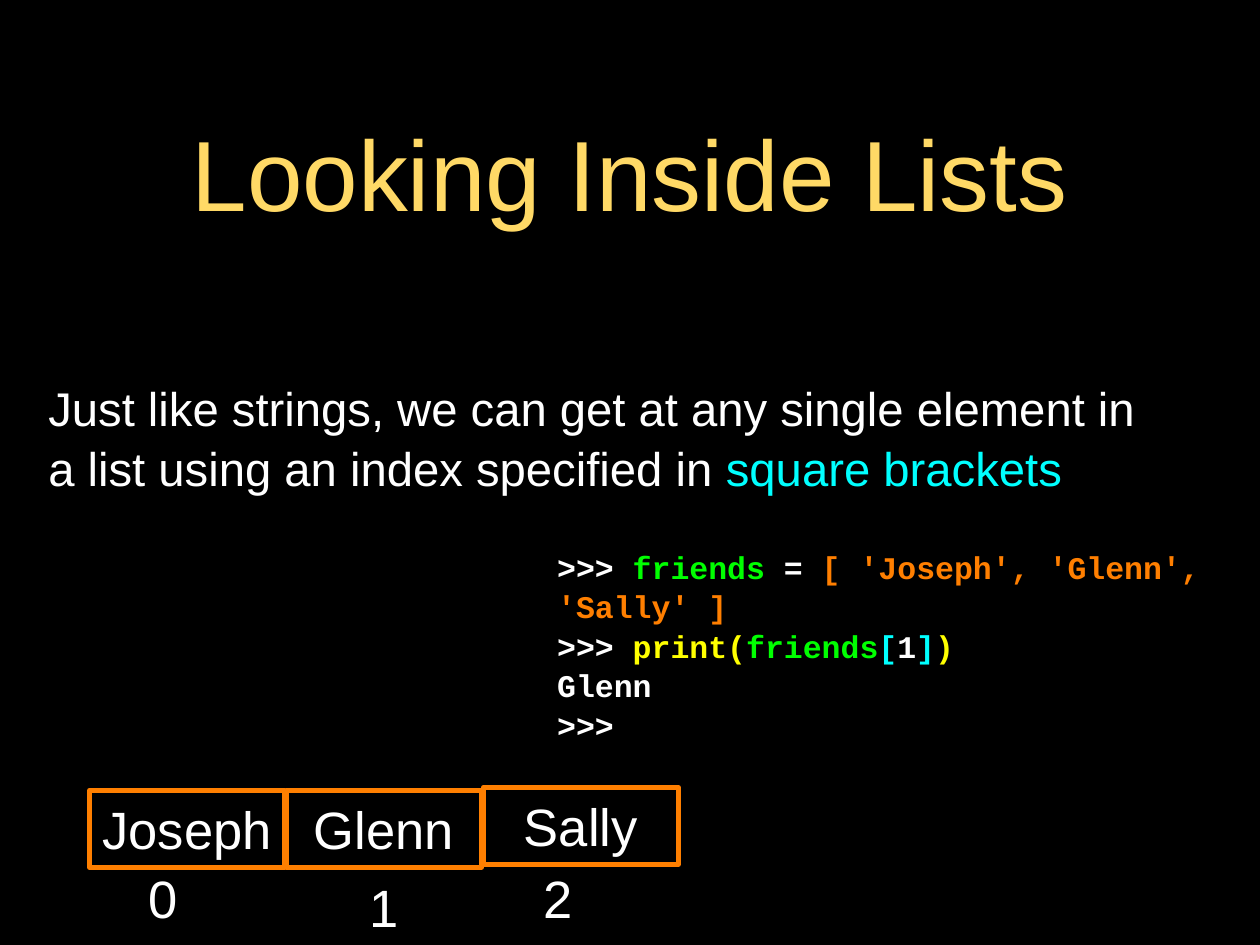
from pptx import Presentation
from pptx.dml.color import RGBColor
from pptx.enum.shapes import MSO_SHAPE
from pptx.enum.text import MSO_ANCHOR, MSO_AUTO_SIZE, PP_ALIGN
from pptx.oxml.ns import qn
from pptx.util import Emu, Pt

PX = 9525  # EMU per pixel at 96 pixels to the inch

COLORS = {
    "black": "000000",
    "white": "FFFFFF",
    "gold": "FFD966",
    "cyan": "00FFFF",
    "green": "00FF00",
    "orange": "FF7F00",
    "yellow": "FFFF00",
}

BODY = [[
    ("Just like strings, we can get at any single element in a list "
     "using an index specified in", "white"),
    (" square brackets", "cyan"),
]]
CODE = [
    [(">>> ", "white"), ("friends", "green"), (" = ", "white"),
     ("[ 'Joseph', 'Glenn', 'Sally' ]", "orange")],
    [(">>> ", "white"), ("print(", "yellow"), ("friends", "green"),
     ("[", "cyan"), ("1", "white"), ("]", "cyan"), (")", "yellow")],
    [("Glenn", "white")],
    [(">>>", "white")],
]
FRIENDS_LEFT, FRIENDS_PITCH = 91, 200
# name, top of its cell, left and top of its index
FRIENDS = [
    ("Joseph", 803, 127, 873),
    ("Glenn", 803, 351, 882),
    ("Sally", 800, 528, 873),
]


def color(name):
    return RGBColor.from_string(COLORS[name])


def place(box, left, top, width, height):
    box.left, box.top = Emu(left * PX), Emu(top * PX)
    box.width, box.height = Emu(width * PX), Emu(height * PX)


def write(box, lines, size, font="Arial", bold=False,
          align=PP_ALIGN.LEFT, spacing=1.0, inset=0):
    """Fill a box with lines, each a list of (text, colour name) spans."""
    frame = box.text_frame
    frame.word_wrap = True
    frame.auto_size = MSO_AUTO_SIZE.NONE
    frame.vertical_anchor = MSO_ANCHOR.MIDDLE
    frame.margin_left = frame.margin_right = Emu(inset * PX)
    frame.margin_top = frame.margin_bottom = Emu(inset * PX)
    frame.text = "\n".join("" for line in lines)
    for paragraph, line in zip(frame.paragraphs, lines):
        paragraph.alignment = align
        paragraph.line_spacing = spacing
        paragraph.space_before = Pt(0)
        for text, color_name in line:
            span = paragraph.add_run()
            span.text = text
            span.font.name = font
            span.font.size = Pt(size)
            span.font.bold = bold
            span.font.color.rgb = color(color_name)


def remove_bullets(box):
    for paragraph in box.text_frame.paragraphs:
        properties = paragraph._p.get_or_add_pPr()
        properties.set("marL", "0")
        properties.set("indent", "0")
        properties.append(properties.makeelement(qn("a:buNone"), {}))


def add_text(page, left, top, width, height, lines, size, **style):
    box = page.shapes.add_textbox(0, 0, 0, 0)
    place(box, left, top, width, height)
    write(box, lines, size, **style)


def add_cell(page, left, top, name):
    cell = page.shapes.add_shape(MSO_SHAPE.RECTANGLE, 0, 0, 0, 0)
    place(cell, left, top, 198, 78)
    cell.shadow.inherit = False
    cell.fill.background()
    cell.line.color.rgb = color("orange")
    cell.line.width = Pt(4)
    write(cell, [[(name, "white")]], 40, align=PP_ALIGN.CENTER)


def main():
    deck = Presentation()
    deck.slide_width, deck.slide_height = Emu(1280 * PX), Emu(960 * PX)
    page = deck.slides.add_slide(deck.slide_layouts[1])
    page.background.fill.solid()
    page.background.fill.fore_color.rgb = color("black")

    title = page.shapes.title
    place(title, 91, 83, 1097, 183)
    write(title, [[("Looking Inside Lists", "gold")]], 76,
          align=PP_ALIGN.CENTER, inset=4)

    body = page.placeholders[1]
    place(body, 45, 290, 1146, 306)
    write(body, BODY, 36, spacing=1.05, inset=4)
    remove_bullets(body)

    add_text(page, 566, 532, 668, 246, CODE, 24,
             font="Courier New", bold=True, spacing=1.05)

    for index, (name, top, index_left, index_top) in enumerate(FRIENDS):
        add_cell(page, FRIENDS_LEFT + index * FRIENDS_PITCH, top, name)
        add_text(page, index_left, index_top, 78, 78,
                 [[(str(index), "white")]], 40, align=PP_ALIGN.CENTER)

    deck.save("out.pptx")


if __name__ == "__main__":
    main()
